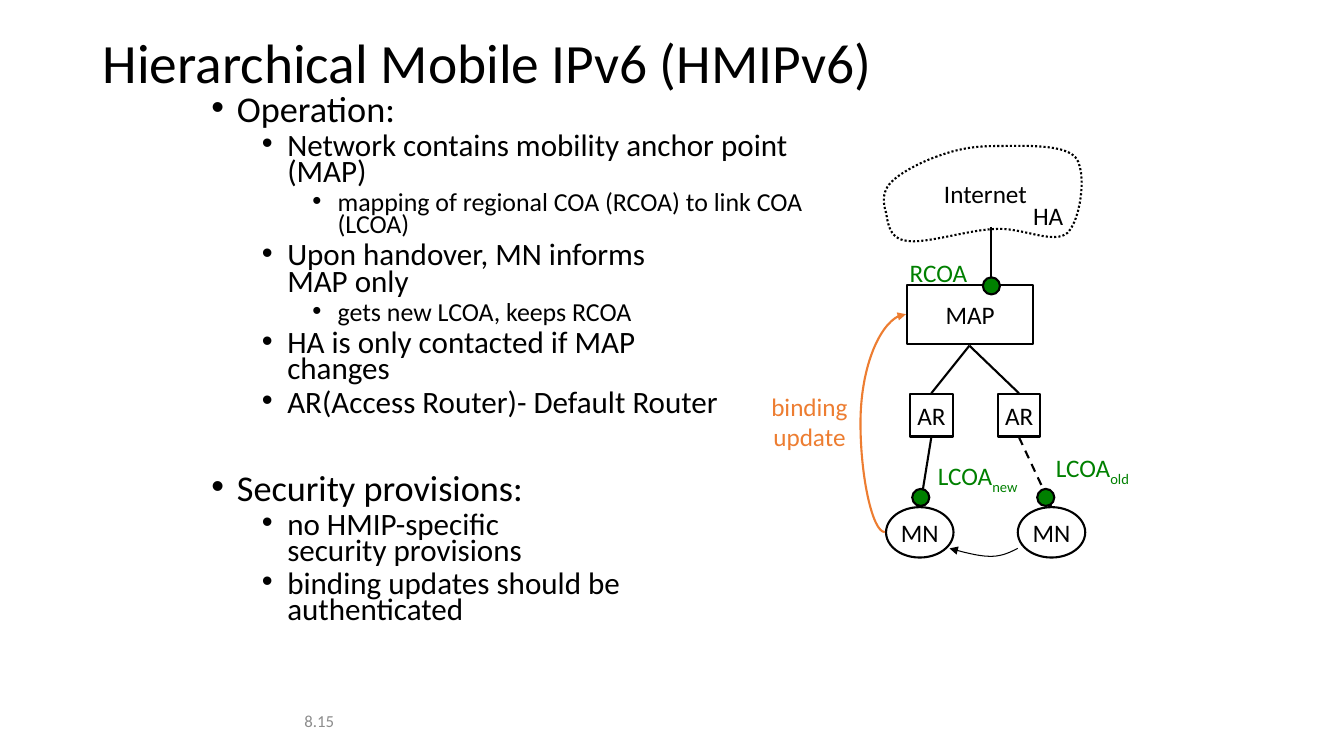
from dataclasses import dataclass
from lxml import etree
from pptx import Presentation, util as u
from pptx.dml import color
from pptx.enum import dml, shapes, text
from pptx.oxml import ns


@dataclass
class Box:
    left: float
    top: float
    width: float
    height: float

    def place(self, x, y):
        return u.Cm(self.left + x), u.Cm(self.top + y)


class Theme:
    font = "Calibri"
    black = color.RGBColor(0x00, 0x00, 0x00)
    white = color.RGBColor(0xFF, 0xFF, 0xFF)
    grey = color.RGBColor(0x8C, 0x8C, 0x8C)
    green = color.RGBColor(0x00, 0x80, 0x00)
    orange = color.RGBColor(0xED, 0x7D, 0x31)
    title, label, number = 39.6, 18, 12
    levels = (25.9, 22.2, 18.5)
    thin, line = 0.75, 1.5


BULLETS = [
    (0, "Operation:"),
    (1, "Network contains mobility anchor point (MAP)"),
    (2, "mapping of regional COA (RCOA) to link COA (LCOA)"),
    (1, "Upon handover, MN informs\vMAP only"),
    (2, "gets new LCOA, keeps RCOA"),
    (1, "HA is only contacted if MAP\vchanges"),
    (1, "AR(Access Router)- Default Router"),
    (0, "Security provisions:"),
    (1, "no HMIP-specific\vsecurity provisions"),
    (1, "binding updates should be\vauthenticated"),
]

# Bezier control points in cm from the corner of the diagram
CLOUD = [
    (4.62, 0.34), (4.19, 0.49), (3.66, 0.77), (3.45, 1.0), (3.23, 1.23),
    (3.25, 1.51), (3.33, 1.76), (3.38, 2.01), (3.4, 2.42), (3.86, 2.47),
    (4.32, 2.55), (5.41, 2.19), (6.07, 2.17), (6.76, 2.12), (7.54, 2.57),
    (7.9, 2.27), (8.23, 1.96), (8.41, 0.72), (8.1, 0.36), (7.8, 0.01),
    (6.65, 0.08), (6.07, 0.08), (5.49, 0.08), (5.05, 0.18), (4.62, 0.34),
]
HANDOVER = [(6.65, 10.22), (6.45, 10.32), (6.25, 10.42), (5.97, 10.42),
            (5.66, 10.42), (5.31, 10.32), (4.93, 10.22)]


# Text helpers
def style(para, size, ink):
    para.font.name = Theme.font
    para.font.size = u.Pt(size)
    para.font.color.rgb = ink


def add_text(page, box, anchor=text.MSO_ANCHOR.MIDDLE, wrap=True):
    corner = box.place(0, 0)
    frame = page.shapes.add_textbox(*corner, u.Cm(box.width), u.Cm(box.height)).text_frame
    frame.word_wrap = wrap
    frame.vertical_anchor = anchor
    return frame


def add_label(page, area, x, y, width, lines, ink=Theme.black, sub=""):
    box = Box(area.left + x, area.top + y, width, 1.02 if len(lines) == 1 else 1.78)
    frame = add_text(page, box, wrap=False)
    for index, line in enumerate(lines):
        para = frame.add_paragraph() if index else frame.paragraphs[0]
        para.alignment = text.PP_ALIGN.CENTER
        style(para, Theme.label, ink)
        para.add_run().text = line
    if sub:
        span = para.add_run()
        span.text = sub
        span._r.get_or_add_rPr().set("baseline", "-25000")


# Drawing helpers
def outline(item, ink=Theme.black, width=Theme.line, dash=None, arrow=False):
    item.line.color.rgb = ink
    item.line.width = u.Pt(width)
    if dash:
        item.line.dash_style = dash
    if arrow:
        etree.SubElement(item.line._get_or_add_ln(), ns.qn("a:tailEnd"), type="triangle")


def add_node(page, area, kind, x, y, width, height, name="", fill=Theme.white):
    node = page.shapes.add_shape(kind, *area.place(x, y), u.Cm(width), u.Cm(height))
    node.shadow.inherit = False
    node.fill.solid()
    node.fill.fore_color.rgb = fill
    outline(node)
    if name:
        frame = node.text_frame
        frame.word_wrap = False
        frame.vertical_anchor = text.MSO_ANCHOR.MIDDLE
        para = frame.paragraphs[0]
        para.text = name
        para.alignment = text.PP_ALIGN.CENTER
        style(para, Theme.label, Theme.black)


def add_link(page, area, start, end, kind=shapes.MSO_CONNECTOR.STRAIGHT, **look):
    link = page.shapes.add_connector(kind, *area.place(*start), *area.place(*end))
    outline(link, **look)
    etree.SubElement(link._element.spPr, ns.qn("a:effectLst"))
    return link


def add_curve(page, area, points, closed, steps=12, **look):
    track = [points[0]]
    for first in range(0, len(points) - 1, 3):
        a, b, c, d = points[first:first + 4]
        for step in range(1, steps + 1):
            t = step / steps
            weights = ((1 - t) ** 3, 3 * t * (1 - t) ** 2, 3 * t * t * (1 - t), t ** 3)
            track.append(tuple(sum(w * p[axis] for w, p in zip(weights, (a, b, c, d)))
                               for axis in (0, 1)))
    spots = [area.place(*point) for point in track]
    builder = page.shapes.build_freeform(*spots[0])
    builder.add_line_segments(spots[1:], close=closed)
    curve = builder.convert_to_shape()
    curve.shadow.inherit = False
    curve.fill.background()
    outline(curve, **look)


# Regions
def draw_title(page, box):
    para = add_text(page, box).paragraphs[0]
    para.text = "Hierarchical Mobile IPv6 (HMIPv6)"
    para.line_spacing = 0.9
    style(para, Theme.title, Theme.black)


def draw_bullets(page, box):
    frame = add_text(page, box, text.MSO_ANCHOR.TOP)
    for index, (level, words) in enumerate(BULLETS):
        para = frame.add_paragraph() if index else frame.paragraphs[0]
        para.text = words
        para.level = level
        para.line_spacing = 0.7
        if index:
            para.space_before = u.Pt(5 if level else 42)
        props = para._p.get_or_add_pPr()
        props.set("marL", str(u.Cm(0.64 + 1.27 * level)))
        props.set("indent", str(-u.Cm(0.64)))
        etree.SubElement(props, ns.qn("a:buFont"), typeface="Arial")
        etree.SubElement(props, ns.qn("a:buChar"), char="•")
        style(para, Theme.levels[level], Theme.black)


def draw_network(page, area):
    rect, oval = shapes.MSO_SHAPE.RECTANGLE, shapes.MSO_SHAPE.OVAL
    # Internet and anchor point
    add_curve(page, area, CLOUD, True, dash=dml.MSO_LINE.ROUND_DOT)
    add_label(page, area, 4.5, 0.77, 2.67, ["Internet"])
    add_label(page, area, 6.78, 1.33, 1.27, ["HA"])
    add_node(page, area, rect, 3.86, 3.59, 3.18, 1.47, "MAP")
    add_link(page, area, (5.97, 2.12), (5.97, 3.59))
    add_node(page, area, oval, 5.77, 3.39, 0.43, 0.43, fill=Theme.green)
    add_label(page, area, 3.66, 2.75, 1.98, ["RCOA"], Theme.green)
    # New and old access branches: router, mobile node and address dot
    for router, mobile, dot, foot, dash in ((3.94, 3.33, 3.99, 4.19, None),
                                            (6.15, 6.65, 7.14, 7.49, dml.MSO_LINE.DASH)):
        middle = router + 0.53
        add_link(page, area, (5.43, 5.11), (middle, 6.31))
        add_node(page, area, rect, router, 6.33, 1.07, 1.07, "AR")
        add_node(page, area, oval, mobile, 9.18, 1.7, 1.27, "MN")
        add_link(page, area, (middle, 7.42), (foot, 9.15), dash=dash)
        add_node(page, area, oval, dot, 8.72, 0.43, 0.43, fill=Theme.green)
    add_label(page, area, 4.32, 7.93, 2.64, ["LCOA"], Theme.green, "new")
    add_label(page, area, 7.31, 7.73, 2.44, ["LCOA"], Theme.green, "old")
    # Handover and binding update
    add_curve(page, area, HANDOVER, False, width=Theme.thin, arrow=True)
    update = add_link(page, area, (3.3, 9.81), (3.83, 4.32), shapes.MSO_CONNECTOR.CURVE,
                      ink=Theme.orange, arrow=True)
    guides = update._element.spPr.find(ns.qn("a:prstGeom")).get_or_add_avLst()
    etree.SubElement(guides, ns.qn("a:gd"), name="adj1", fmla="val -116000")
    add_label(page, area, 0.13, 6.13, 2.54, ["binding", "update"], Theme.orange)


def draw_number(page, box):
    para = add_text(page, box).paragraphs[0]
    para.text = "8.15"
    para._p.get_or_add_pPr().set("marL", str(u.Cm(5.08)))
    style(para, Theme.number, Theme.grey)


def main():
    deck = Presentation()
    deck.slide_width, deck.slide_height = u.Cm(33.87), u.Cm(19.05)
    page = deck.slides.add_slide(deck.slide_layouts[6])
    draw_number(page, Box(2.34, 17.65, 7.62, 1.02))
    draw_title(page, Box(2.34, 1.02, 29.21, 1.27))
    draw_bullets(page, Box(5.08, 2.34, 15.57, 14.4))
    draw_network(page, Box(19, 3.6, 9.8, 10.5))
    deck.save("out.pptx")


if __name__ == "__main__":
    main()
